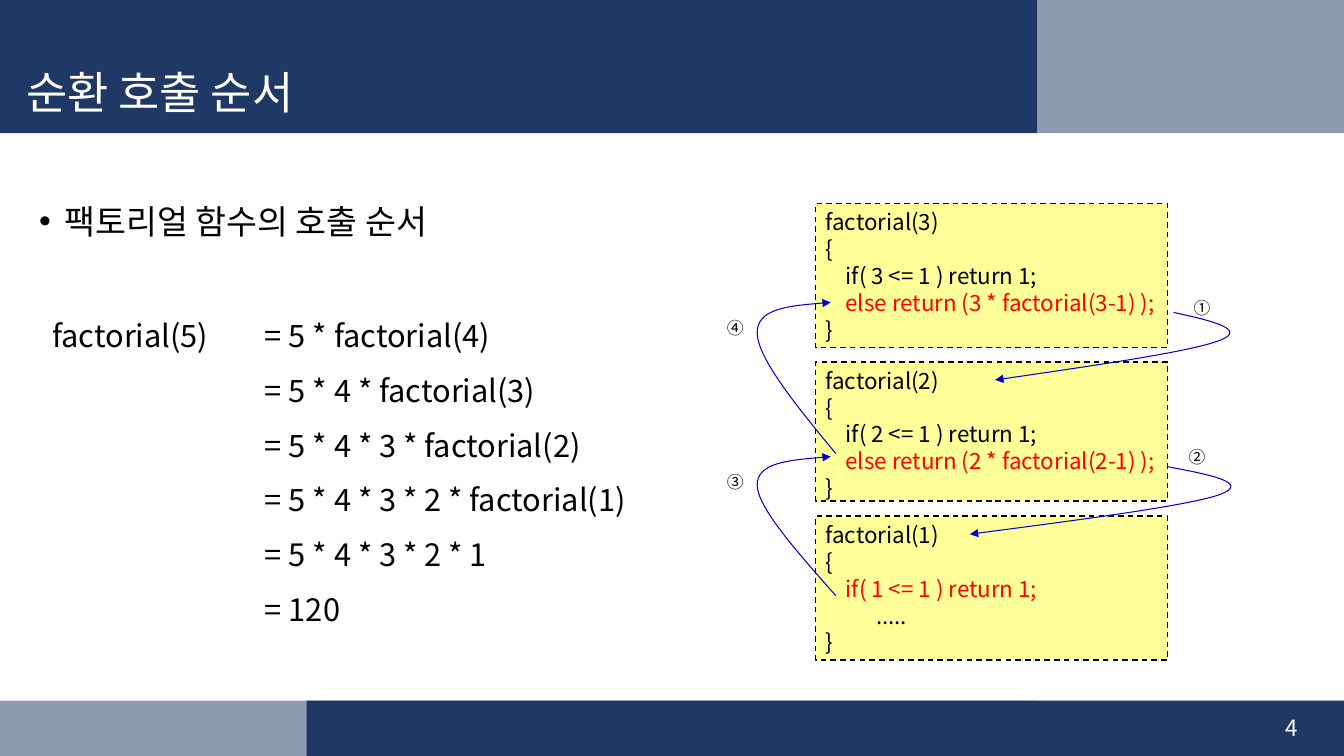
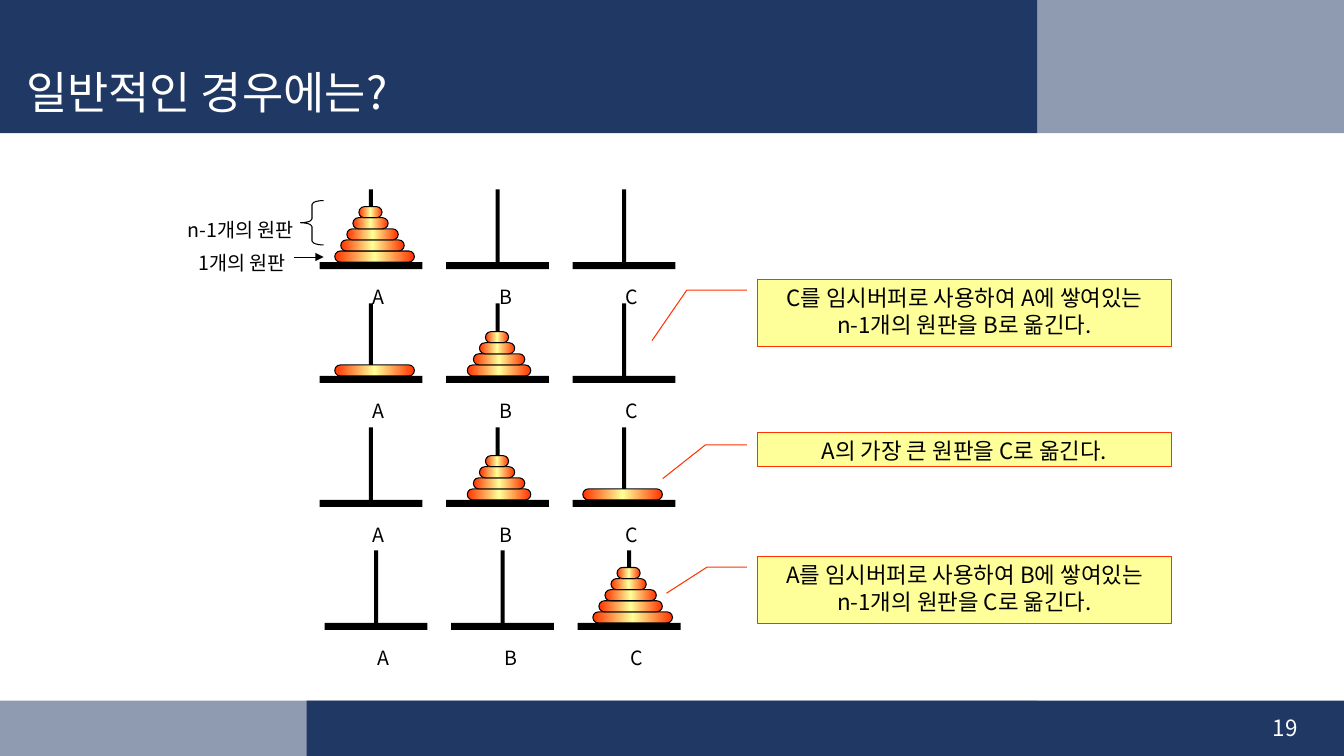
"""Builds two slides on recursion: factorial call order and the general Hanoi case."""
from lxml import etree
from pptx import Presentation
from pptx import util as u
from pptx.dml.color import RGBColor
from pptx.enum import shapes as es, text as et
from pptx.oxml.ns import qn

FONT = "Noto Sans CJK KR"
C = {"navy": "203864", "white": "FFFFFF", "black": "000000", "note": "FFFF99",
     "red": "FF0000", "blue": "0000CC", "orange": "FF3300"}
RECT = es.MSO_SHAPE.RECTANGLE
LEFT, CENTER, RIGHT = et.PP_ALIGN.LEFT, et.PP_ALIGN.CENTER, et.PP_ALIGN.RIGHT
TOP, MIDDLE = et.MSO_ANCHOR.TOP, et.MSO_ANCHOR.MIDDLE

BANDS = [(3.04, 6.95, 10.29, 0.55, 100), (0, 6.95, 10.29, 0.55, 50),
         (0, 0, 10.29, 1.32, 100), (10.29, 0, 3.04, 1.32, 50)]
STEPS = ["factorial(5)\t= 5 * factorial(4)", "\t= 5 * 4 * factorial(3)",
         "\t= 5 * 4 * 3 * factorial(2)", "\t= 5 * 4 * 3 * 2 * factorial(1)",
         "\t= 5 * 4 * 3 * 2 * 1", "\t= 120"]
CALL_BOXES = [(3, 2.02, 1.43), (2, 3.59, 1.38), (1, 5.12, 1.43)]
MARKS = [("①", 11.74, 2.9), ("②", 11.69, 4.38), ("③", 7.11, 4.63), ("④", 7.11, 3.1)]
CURVES = [
    [(11.64, 3.1), (12.01, 3.18), (12.39, 3.27), (12.09, 3.38), (11.8, 3.49), (10.83, 3.63), (9.87, 3.77)],
    [(11.58, 4.63), (12, 4.71), (12.42, 4.79), (12.09, 4.91), (11.76, 5.02), (10.69, 5.16), (9.62, 5.3)],
    [(8.29, 5.91), (7.9, 5.47), (7.52, 5.04), (7.51, 4.82), (7.5, 4.59), (7.87, 4.56), (8.24, 4.53)],
    [(8.29, 4.5), (7.9, 4.03), (7.52, 3.56), (7.51, 3.31), (7.5, 3.06), (7.87, 3.03), (8.24, 3)]]

DISKS = [0.79, 0.63, 0.51, 0.35, 0.23]
PEG_GAP = 1.255
STAGES = [(3.17, 2.6, [(0, DISKS, 0.15)]),
          (3.17, 3.73, [(0, DISKS[:1], 0.15), (1, DISKS[1:], 0.15)]),
          (3.17, 4.96, [(1, DISKS[1:], 0.15), (2, DISKS[:1], 0.1)]),
          (3.22, 6.18, [(2, DISKS, 0.15)])]
CALLOUTS = [
    (2.77, 0.67, "C를 임시버퍼로 사용하여 A에 쌓여있는 n-1개의 원판을 B로 옮긴다.",
     (0.163, -0.025, 0.163, -0.17, 0.911, -0.254)),
    (4.29, 0.34, "A의 가장 큰 원판을 C로 옮긴다.",
     (0.364, -0.025, 0.364, -0.125, 1.348, -0.228)),
    (5.52, 0.67, "A를 임시버퍼로 사용하여 B에 쌓여있는 n-1개의 원판을 C로 옮긴다.",
     (0.159, -0.025, 0.159, -0.121, 0.546, -0.219))]


def rgb(name):
    return RGBColor.from_string(C[name])


def box(*lengths):
    return [u.Inches(v) for v in lengths]


def style_runs(p, size, color):
    for r in p.runs:
        r.font.size = u.Pt(size)
        r.font.color.rgb = rgb(color)
        r.font.name = FONT
        etree.SubElement(r.font._element, qn("a:ea"), typeface=FONT)


def write(sp, lines, size, color="black", align=LEFT, anchor=TOP, wrap=True, spacing=None, before=0):
    tf = sp.text_frame
    tf.word_wrap = wrap
    tf.vertical_anchor = anchor
    tf.text = "\n".join(lines)
    for i, p in enumerate(tf.paragraphs):
        p.alignment = align
        if spacing:
            p.line_spacing = spacing
        if i and before:
            p.space_before = u.Pt(before)
        style_runs(p, size, color)
    return tf


def add_text(shapes, at, lines, size, grow=False, **options):
    sp = shapes.add_textbox(*box(*at))
    tf = write(sp, lines, size, **options)
    if grow:
        tf.auto_size = et.MSO_AUTO_SIZE.SHAPE_TO_FIT_TEXT
    return tf


def outline(sp, color, width):
    sp.line.color.rgb = rgb(color)
    sp.line.width = u.Pt(width)


def add_shape(shapes, kind, at, fill=None, line=None, width=0.75):
    sp = shapes.add_shape(kind, *box(*at))
    sp.shadow.inherit = False
    if fill:
        sp.fill.solid()
        sp.fill.fore_color.rgb = rgb(fill)
    else:
        sp.fill.background()
    if line:
        outline(sp, line, width)
    else:
        sp.line.fill.background()
    return sp


def add_arrowhead(sp):
    ln = sp._element.xpath(".//a:ln")[0]
    etree.SubElement(ln, qn("a:tailEnd"), type="triangle")


def add_frame(s, title, number):
    for *at, opacity in BANDS:
        sp = add_shape(s.shapes, RECT, at, "navy")
        if opacity < 100:
            clr = sp._element.xpath("./p:spPr/a:solidFill/a:srgbClr")[0]
            etree.SubElement(clr, qn("a:alpha"), val=str(opacity * 1000))
    add_text(s.shapes, (0.16, 0.57, 10.13, 0.74), [title], 32, color="white", anchor=MIDDLE, spacing=0.9)
    add_text(s.shapes, (9.97, 7.02, 3, 0.4), [number], 16, color="white", align=RIGHT, anchor=MIDDLE)


def add_bullet_heading(s, at, line):
    tf = add_text(s.shapes, at, [line], 24, spacing=1.1)
    pPr = tf.paragraphs[0]._p.get_or_add_pPr()
    pPr.set("marL", str(u.Inches(0.25)))
    pPr.set("indent", str(-u.Inches(0.25)))
    etree.SubElement(pPr, qn("a:buFont"), typeface="Arial")
    etree.SubElement(pPr, qn("a:buChar"), char="•")


def add_steps(s, at, lines, tab):
    tf = add_text(s.shapes, at, lines, 22, spacing=1.1, before=10)
    for p in tf.paragraphs:
        tabs = etree.SubElement(p._p.get_or_add_pPr(), qn("a:tabLst"))
        etree.SubElement(tabs, qn("a:tab"), pos=str(u.Inches(tab)), algn="l")


def add_call_box(s, n, top, height):
    test = f"    if( {n} <= 1 ) return 1;"
    rest = f"    else return ({n} * factorial({n}-1) );" if n > 1 else "\t....."
    sp = add_shape(s.shapes, RECT, (8.09, top, 3.49, height), "note", "black", 1)
    sp.line.dash_style = es_dash()
    tf = write(sp, [f"factorial({n})", "{", test, rest, "}"], 16, wrap=False)
    for r in tf.paragraphs[3 if n > 1 else 2].runs:
        r.font.color.rgb = rgb("red")


def es_dash():
    from pptx.enum.dml import MSO_LINE
    return MSO_LINE.DASH


def add_curve(s, points):
    start, *rest = [box(*pt) for pt in points]
    fb = s.shapes.build_freeform(*start)
    fb.add_line_segments(rest, close=False)
    sp = fb.convert_to_shape()
    sp.shadow.inherit = False
    sp.fill.background()
    outline(sp, "blue", 0.75)
    add_arrowhead(sp)
    segments = sp._element.xpath(".//a:lnTo")
    for i in range(0, len(segments), 3):
        curve = etree.Element(qn("a:cubicBezTo"))
        segments[i].addprevious(curve)
        for seg in segments[i:i + 3]:
            curve.append(seg[0])
            seg.getparent().remove(seg)


def add_disk(shapes, at):
    sp = add_shape(shapes, es.MSO_SHAPE.ROUNDED_RECTANGLE, at, line="black")
    sp.adjustments[0] = 0.5
    sp.fill.gradient()
    sp.fill.gradient_angle = 0
    stops = sp._element.xpath("./p:spPr/a:gradFill/a:gsLst")[0]
    stops.clear()
    for pos, color in ((0, "orange"), (50, "note"), (100, "orange")):
        gs = etree.SubElement(stops, qn("a:gs"), pos=str(pos * 1000))
        etree.SubElement(gs, qn("a:srgbClr"), val=C[color])


def add_stage(s, left, base, stacks):
    shapes = s.shapes.add_group_shape().shapes
    for i, name in enumerate("ABC"):
        x = left + i * PEG_GAP
        add_shape(shapes, RECT, (x, base, 1.02, 0.07), "black")
        add_shape(shapes, RECT, (x + 0.49, base - 0.72, 0.04, 0.75), "black")
        add_text(shapes, (x + 0.43, base + 0.18, 0.35, 0.33), [name], 14, grow=True, wrap=False)
    for peg, widths, inset in stacks:
        for level, width in enumerate(widths, 1):
            x = left + peg * PEG_GAP + inset + 0.06 * DISKS.index(width)
            add_disk(shapes, (x, base - 0.11 * level, width, 0.11))


def add_stack_labels(s):
    sp = add_shape(s.shapes, es.MSO_SHAPE.LEFT_BRACE, (2.98, 1.99, 0.23, 0.44), line="black")
    sp.adjustments[0] = 0.167
    add_text(s.shapes, (1.76, 2.11, 1.81, 0.33), ["n-1개의 원판"], 14, grow=True)
    add_text(s.shapes, (1.87, 2.44, 1.18, 0.33), ["1개의 원판"], 14, grow=True)
    cx = s.shapes.add_connector(es.MSO_CONNECTOR.STRAIGHT, *box(2.92, 2.55, 3.21, 2.55))
    outline(cx, "black", 0.75)
    add_arrowhead(cx)
    etree.SubElement(cx._element.spPr, qn("a:effectLst"))


def add_callout(s, top, height, line, adjustments):
    sp = add_shape(s.shapes, es.MSO_SHAPE.LINE_CALLOUT_2, (7.51, top, 4.11, height), "note", "orange")
    for i, value in enumerate(adjustments):
        sp.adjustments[i] = value
    write(sp, [line], 16, align=CENTER)


def main():
    prs = Presentation()
    prs.slide_width, prs.slide_height = box(13.33, 7.5)
    blank = prs.slide_layouts[6]

    s = prs.slides.add_slide(blank)
    add_frame(s, "순환 호출 순서", "4")
    add_bullet_heading(s, (0.29, 1.9, 7, 0.6), "팩토리얼 함수의 호출 순서")
    add_steps(s, (0.42, 3.06, 6.5, 3.45), STEPS, 2.11)
    for call in CALL_BOXES:
        add_call_box(s, *call)
    for mark, x, y in MARKS:
        add_text(s.shapes, (x, y, 0.38, 0.3), [mark], 12, grow=True, wrap=False)
    for points in CURVES:
        add_curve(s, points)

    s = prs.slides.add_slide(blank)
    add_frame(s, "일반적인 경우에는?", "19")
    for stage in STAGES:
        add_stage(s, *stage)
    add_stack_labels(s)
    for callout in CALLOUTS:
        add_callout(s, *callout)

    prs.save("out.pptx")


if __name__ == "__main__":
    main()
